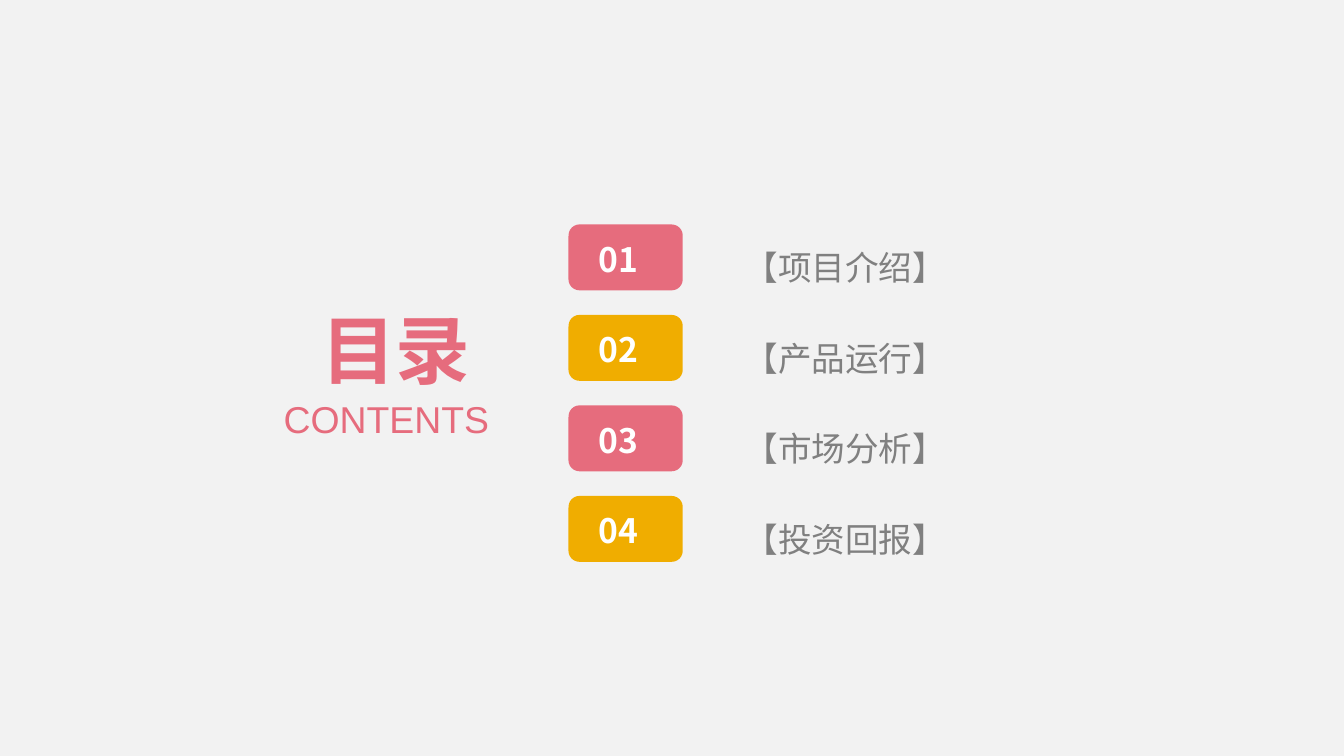
from lxml import etree
from pptx import Presentation, util as u
from pptx.dml.color import RGBColor
from pptx.enum import shapes, text
from pptx.oxml.ns import qn

TITLE, SUBTITLE = "目录", "CONTENTS"
ITEMS = ["【项目介绍】", "【产品运行】", "【市场分析】", "【投资回报】"]

THEME = {
    "bg": "F2F2F2", "accents": ["E66C7D", "F0AD00"], "white": "FFFFFF", "gray": "808080",
    "cjk": "Noto Sans CJK SC", "latin": "Arial",
    "title": 40, "subtitle": 20, "item": 18,
}
W = 10
H = W * 9 / 16
FIRST_ROW, LAST_ROW = 1.67, 3.69
PITCH = (LAST_ROW - FIRST_ROW) / (len(ITEMS) - 1)
BADGE_X, NUMBER_X, ITEM_X = 4.23, 4.21, 5.47


def color(name):
    return RGBColor.from_string(name)


def add_shape(s, kind, box, fill=None):
    sp = s.shapes.add_shape(kind, *map(u.Inches, box))
    sp.shadow.inherit = False
    sp.line.fill.background()
    if fill:
        sp.fill.solid()
        sp.fill.fore_color.rgb = color(fill)
    else:
        sp.fill.background()
    return sp


def add_text(s, content, box, *, size, fill, font, bold=False, center=True, middle=False,
             oval=False, inset=(0, 0), spacing=None, before=None):
    if oval:
        sp = add_shape(s, shapes.MSO_SHAPE.OVAL, box)
    else:
        sp = s.shapes.add_textbox(*map(u.Inches, box))
    tf = sp.text_frame
    tf.word_wrap = True
    tf.auto_size = text.MSO_AUTO_SIZE.NONE if oval else text.MSO_AUTO_SIZE.SHAPE_TO_FIT_TEXT
    tf.vertical_anchor = text.MSO_ANCHOR.MIDDLE if middle else text.MSO_ANCHOR.TOP
    tf.margin_left = tf.margin_right = u.Inches(inset[0])
    tf.margin_top = tf.margin_bottom = u.Inches(inset[1])
    p = tf.paragraphs[0]
    p.alignment = text.PP_ALIGN.CENTER if center else text.PP_ALIGN.LEFT
    if spacing:
        p.line_spacing = spacing
    if before:
        p.space_before = u.Pt(before)
    r = p.add_run()
    r.text = content
    r.font.size, r.font.bold, r.font.name = u.Pt(size), bold, font
    r.font.color.rgb = color(fill)
    etree.SubElement(r.font._element, qn("a:ea"), typeface=THEME["cjk"])


def main():
    prs = Presentation()
    prs.slide_width, prs.slide_height = u.Inches(W), u.Inches(H)
    s = prs.slides.add_slide(prs.slide_layouts[6])
    s.background.fill.solid()
    s.background.fill.fore_color.rgb = color(THEME["bg"])

    accents = THEME["accents"]
    rows = [FIRST_ROW + i * PITCH for i in range(len(ITEMS))]
    for i, y in enumerate(rows):
        add_shape(s, shapes.MSO_SHAPE.ROUNDED_RECTANGLE, (BADGE_X, y, 0.85, 0.49),
                  accents[i % len(accents)])
    for i, y in enumerate(rows, 1):
        add_text(s, f"{i:02}", (NUMBER_X, y - 0.03, 0.78, 0.57), size=THEME["item"],
                 fill=THEME["white"], font=THEME["cjk"], bold=True, middle=True,
                 oval=True, inset=(0.06, 0.03))
    for item, y in zip(ITEMS, rows):
        add_text(s, item, (ITEM_X, y - 0.02, 2.84, 0.53), size=THEME["item"],
                 fill=THEME["gray"], font=THEME["cjk"], center=False,
                 inset=(0.07, 0.04), spacing=1.5, before=5.6)

    add_text(s, TITLE, (2.32, 2.26, 1.25, 0.67), size=THEME["title"], fill=accents[0],
             font=THEME["latin"], bold=True, middle=True)
    add_text(s, SUBTITLE, (1.85, 2.95, 2.05, 0.34), size=THEME["subtitle"], fill=accents[0],
             font=THEME["latin"])
    prs.save("out.pptx")


if __name__ == "__main__":
    main()
